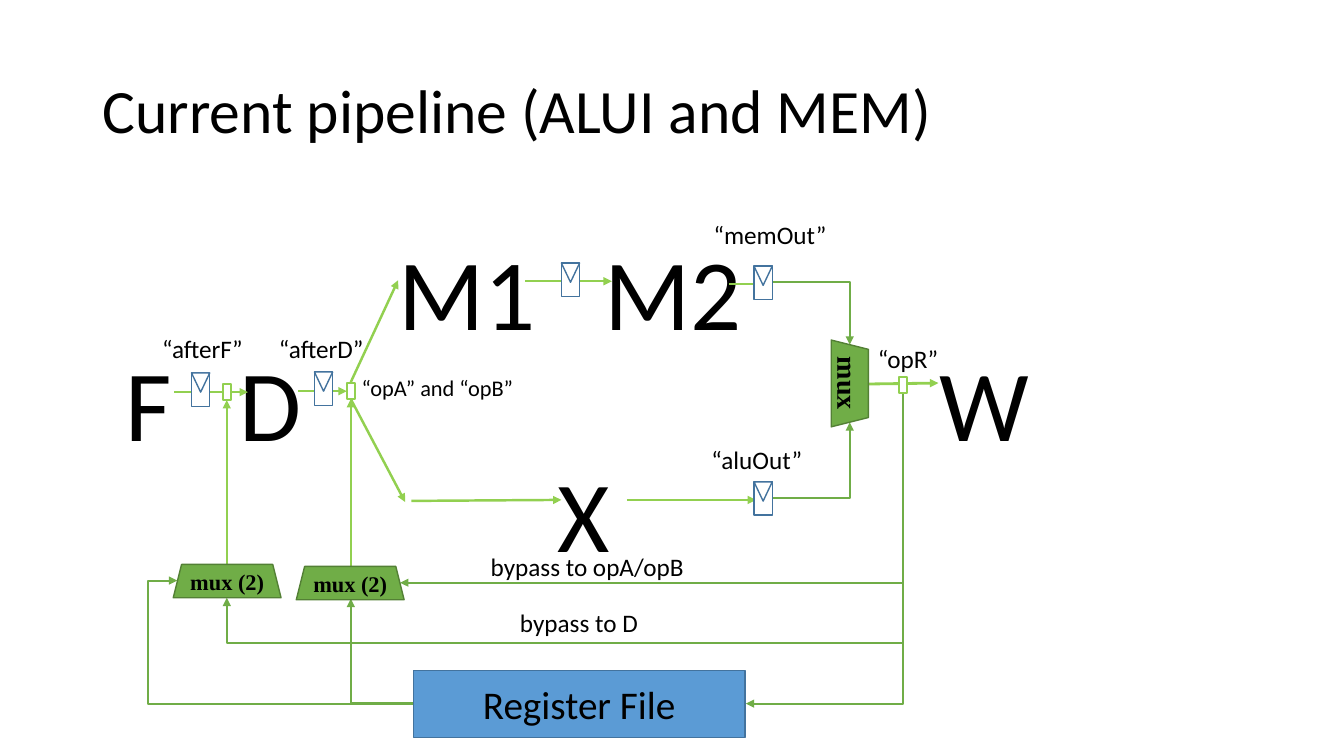
from dataclasses import dataclass

from lxml import etree
from pptx import Presentation
from pptx import util as u
from pptx.dml import color
from pptx.enum import shapes, text
from pptx.oxml import ns

Pt = u.Pt


@dataclass(frozen=True)
class Theme:
    """Colours, fonts and sizes of the slide."""
    ink: str = "000000"
    paper: str = "FFFFFF"
    signal: str = "92D050"
    wire: str = "70AD47"
    mux_edge: str = "538035"
    blue: str = "5B9BD5"
    blue_edge: str = "43739E"
    font: str = "Calibri"
    mux_font: str = "Times New Roman"
    title: float = 44
    stage: float = 72
    register_file: float = 28
    label: float = 18
    small: float = 16
    mux: float = 20


@dataclass(frozen=True)
class Box:
    """A region of the slide, in points."""
    left: float
    top: float
    width: float
    height: float

    def at(self, x, y):
        """Return the slide position of a point inside the box."""
        return Pt(self.left + x), Pt(self.top + y)


THEME = Theme()
FRAME = dict(margin_left=0, margin_right=0, margin_top=0, margin_bottom=0,
             word_wrap=False, vertical_anchor=text.MSO_ANCHOR.MIDDLE)


def assign(target, values):
    """Set attributes from a dict of format values."""
    for name, value in values.items():
        setattr(target, name, value)


def write(paragraph, words, size, font=THEME.font, bold=False):
    """Add one formatted run to a paragraph."""
    run = paragraph.add_run()
    run.text = words
    assign(run.font, dict(size=Pt(size), name=font, bold=bold))
    run.font.color.rgb = color.RGBColor.from_string(THEME.ink)


def add_part(slide, box, kind, place, fill, edge, weight=1, rotation=0):
    """Draw a flat preset shape at (x, y, width, height) in the box."""
    x, y, width, height = place
    shape = slide.shapes.add_shape(kind, *box.at(x, y), Pt(width), Pt(height))
    shape.shadow.inherit = False
    shape.rotation = rotation
    shape.fill.solid()
    shape.fill.fore_color.rgb = color.RGBColor.from_string(fill)
    shape.line.color.rgb = color.RGBColor.from_string(edge)
    shape.line.width = Pt(weight)
    return shape


def add_block(slide, box, kind, place, fill, edge, words, size,
              font=THEME.font, bold=False, rotation=0):
    """Draw a shape with centred words."""
    frame = add_part(slide, box, kind, place, fill, edge, rotation=rotation).text_frame
    assign(frame, FRAME)
    frame.paragraphs[0].alignment = text.PP_ALIGN.CENTER
    write(frame.paragraphs[0], words, size, font, bold)


def finish_line(connector, colour, weight):
    """Colour a connector, remove its shadow and add its arrowhead."""
    connector.line.color.rgb = color.RGBColor.from_string(colour)
    connector.line.width = Pt(weight)
    etree.SubElement(connector.line._get_or_add_ln(), ns.qn("a:tailEnd"), type="triangle")
    etree.SubElement(connector._element.spPr, ns.qn("a:effectLst"))


def add_signal(slide, box, start, end, weight=1.75):
    """Draw a straight arrow between two points in the box."""
    connector = slide.shapes.add_connector(
        shapes.MSO_CONNECTOR.STRAIGHT, *box.at(*start), *box.at(*end))
    finish_line(connector, THEME.signal, weight)


def add_wire(slide, box, start, end, down_first=False, overshoot=None):
    """Draw a bent arrow: one corner, or two when it overshoots its end."""
    (x1, y1), (x2, y2) = start, end
    if down_first:  # turned a quarter about its centre: down, then left
        middle_x, middle_y = (x1 + x2) / 2, (y1 + y2) / 2
        half_width, half_height = (y2 - y1) / 2, (x1 - x2) / 2
        start = middle_x - half_width, middle_y - half_height
        end = middle_x + half_width, middle_y + half_height
    connector = slide.shapes.add_connector(
        shapes.MSO_CONNECTOR.ELBOW, *box.at(*start), *box.at(*end))
    properties = connector._element.spPr
    if down_first:
        properties.find(ns.qn("a:xfrm")).set("rot", "5400000")
    geometry = properties.find(ns.qn("a:prstGeom"))
    if overshoot is None:
        geometry.set("prst", "bentConnector2")
    else:
        guides = geometry.find(ns.qn("a:avLst"))
        if guides is None:
            guides = etree.SubElement(geometry, ns.qn("a:avLst"))
        etree.SubElement(guides, ns.qn("a:gd"), name="adj1",
                         fmla=f"val {round(overshoot * 100000)}")
    finish_line(connector, THEME.wire, 1.5)


def add_label(slide, box, words, x, y, width, size=THEME.label):
    """Place a one-line label in the box."""
    label = slide.shapes.add_textbox(*box.at(x, y), Pt(width), Pt(size * 1.6))
    label.text_frame.word_wrap = True
    write(label.text_frame.paragraphs[0], words, size)


def draw_title(slide, box):
    """Place the slide title."""
    title = slide.shapes.title
    left, top = box.at(0, 0)
    assign(title, dict(left=left, top=top, width=Pt(box.width), height=Pt(box.height)))
    title.text_frame.vertical_anchor = text.MSO_ANCHOR.MIDDLE
    paragraph = title.text_frame.paragraphs[0]
    assign(paragraph, dict(alignment=text.PP_ALIGN.LEFT, line_spacing=0.9))
    write(paragraph, "Current pipeline (ALUI and MEM)", THEME.title)


def draw_stages(slide, box):
    """Write the stage letters in three rows, set by tab stops."""
    drop = 43.6
    stages = slide.shapes.add_textbox(*box.at(0, drop), Pt(box.width),
                                      Pt(box.height - drop))
    frame = stages.text_frame
    frame.word_wrap = True
    rows = [{"M1": 211.5, "M2": 358.4}, {"F": 16.3, "D": 98.1, "W": 598}, {"X": 325.4}]
    for index, letters in enumerate(rows):
        paragraph = frame.add_paragraph() if index else frame.paragraphs[0]
        assign(paragraph, dict(line_spacing=0.8, space_before=Pt(10 if index else 0)))
        tabs = etree.SubElement(paragraph._p.get_or_add_pPr(), ns.qn("a:tabLst"))
        for stop in letters.values():
            etree.SubElement(tabs, ns.qn("a:tab"), pos=str(Pt(stop)), algn="l")
        write(paragraph, "".join("\t" + letter for letter in letters), THEME.stage)


def draw_arrows(slide, box):
    """Draw the stage signals and the bypass wires."""
    for start, end in [((58.6, 146.1), (111.1, 146.1)), ((147.1, 145.4), (181.7, 145.4)),
                       ((309.1, 66.9), (371, 66.9)), ((454.6, 69), (479, 69)),
                       ((184.6, 138.9), (218.4, 66.2)), ((184.6, 151.1), (223.4, 224.6)),
                       ((227.8, 223.8), (335, 223.1)), ((381.8, 223.1), (474, 223.1)),
                       ((96, 269.2), (96, 151.8)), ((184.6, 270.6), (184.6, 151.1))]:
        add_signal(slide, box, start, end)
    add_signal(slide, box, (554.6, 140.3), (604.3, 139.6), 2)

    result, file_exit = (579.1, 146.8), (229.2, 368.6)
    add_wire(slide, box, (485.5, 67.6), (541, 112.2))
    add_wire(slide, box, (485.5, 221.7), (541, 167.7))
    add_wire(slide, box, file_exit, (60.7, 280.7), overshoot=1.124)
    add_wire(slide, box, file_exit, (184.6, 293.7))
    add_wire(slide, box, result, (466.8, 368.6), down_first=True)
    add_wire(slide, box, result, (219.8, 282.2), down_first=True)
    add_wire(slide, box, result, (96, 293), down_first=True, overshoot=1.223)


def draw_parts(slide, box):
    """Draw the pipeline registers, ports, muxes and register file."""
    preset = shapes.MSO_SHAPE
    for x, y in [(70.8, 132.4), (158.6, 131.7), (335, 53.9), (472.6, 56.1), (472.6, 210.2)]:
        add_part(slide, box, preset.RECTANGLE, (x, y, 13, 23.8),
                 THEME.paper, THEME.blue_edge)
        add_part(slide, box, preset.ISOSCELES_TRIANGLE, (x, y, 13, 13.7),
                 THEME.paper, THEME.blue_edge, rotation=180)
    for x, y in [(93.1, 140.3), (181.7, 139.6), (576.2, 135.3)]:
        add_part(slide, box, preset.RECTANGLE, (x, y, 6, 11.5),
                 THEME.paper, THEME.signal, 1.5)
    for place, words, size, rotation in [
            ((510, 126.6, 62, 26.6), "mux", THEME.mux, 90),
            ((57.8, 269.2, 77, 23.8), "mux (2)", THEME.small, 0),
            ((145.7, 270.6, 77, 23.8), "mux (2)", THEME.small, 0)]:
        add_block(slide, box, preset.TRAPEZOID, place, THEME.wire, THEME.mux_edge,
                  words, size, THEME.mux_font, True, rotation)
    add_block(slide, box, preset.RECTANGLE, (229.2, 344.8, 237, 48), THEME.blue,
              THEME.blue_edge, "Register File", THEME.register_file)


def draw_labels(slide, box):
    """Name the signals and the bypasses."""
    for words, x, y, width in [
            ("“opR”", 553.9, 107.9, 63), ("“afterF”", 42.7, 100.7, 78),
            ("“afterD”", 126.2, 100.7, 78), ("“memOut”", 436.6, 19.4, 97),
            ("“aluOut”", 435.1, 179.9, 97), ("bypass to opA/opB", 277.4, 256.2, 165),
            ("bypass to D", 298.3, 296.6, 165)]:
        add_label(slide, box, words, x, y, width)
    add_label(slide, box, "“opA” and “opB”", 185.3, 129.5, 137, THEME.small)


def main():
    """Build and save the slide."""
    presentation = Presentation()
    assign(presentation, dict(slide_width=Pt(960), slide_height=Pt(540)))
    slide = presentation.slides.add_slide(presentation.slide_layouts[5])
    draw_title(slide, Box(66, 28.8, 828, 104.4))
    pipeline = Box(66, 134, 761, 278)
    for draw in (draw_stages, draw_arrows, draw_parts, draw_labels):
        draw(slide, pipeline)
    presentation.save("out.pptx")


main()
